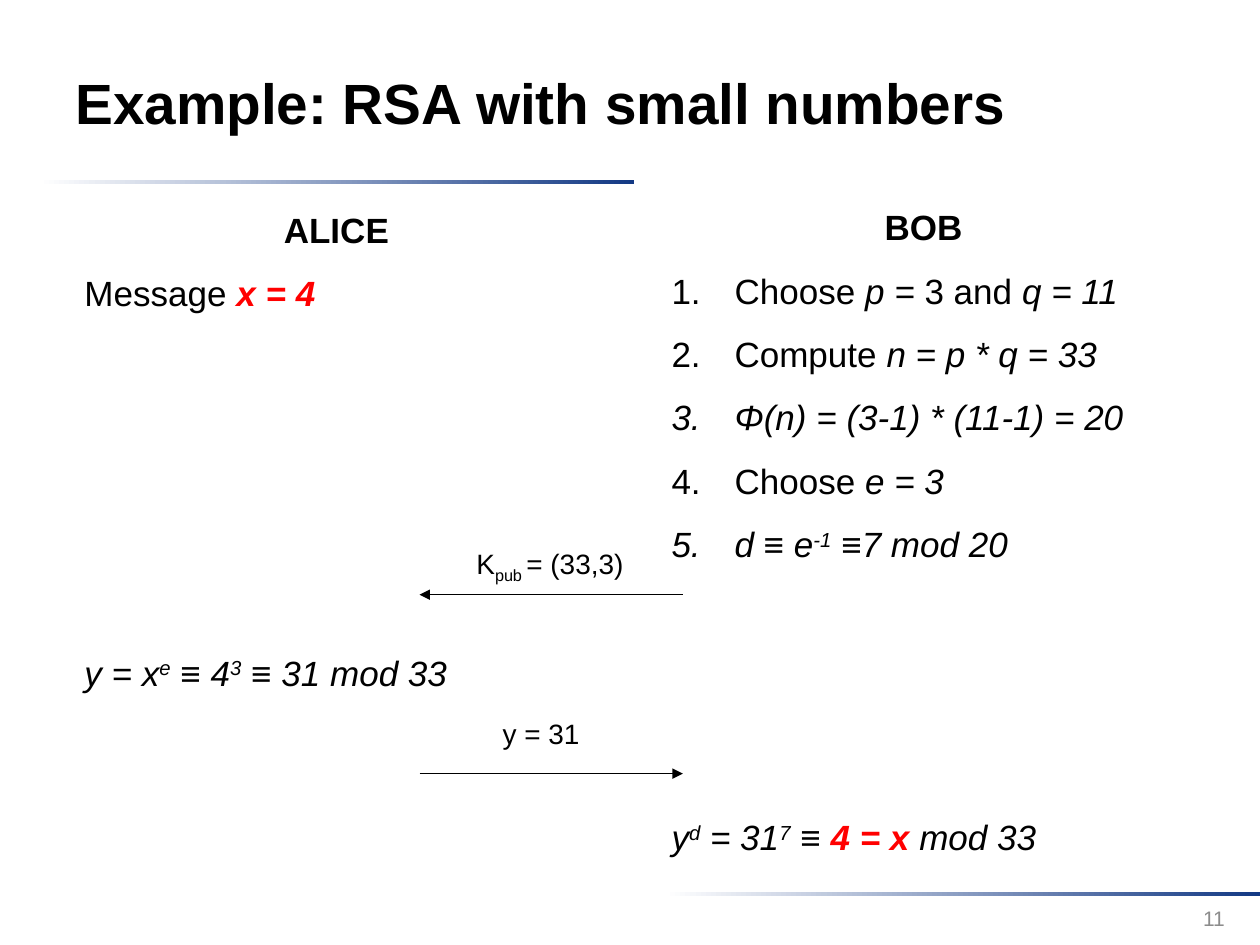
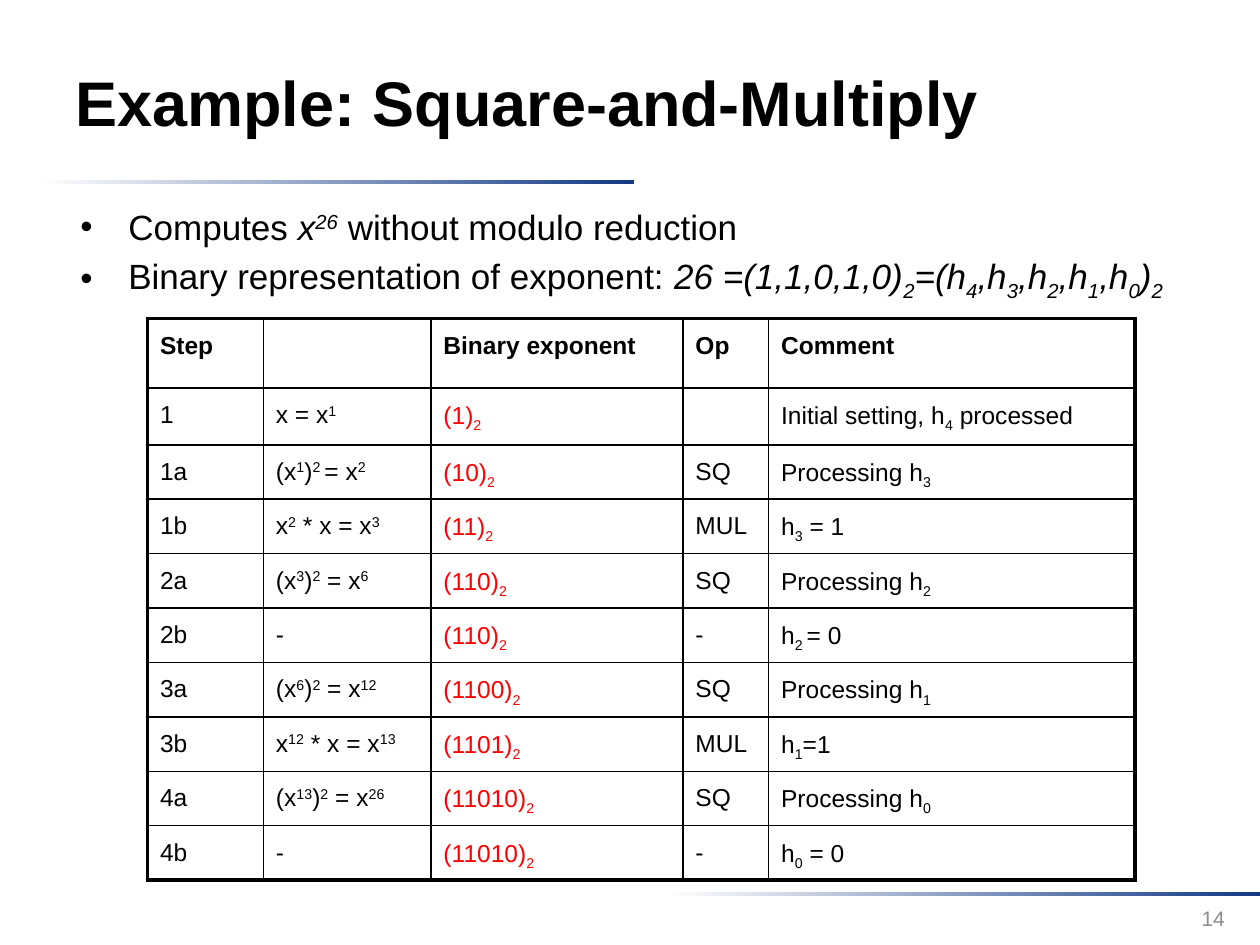
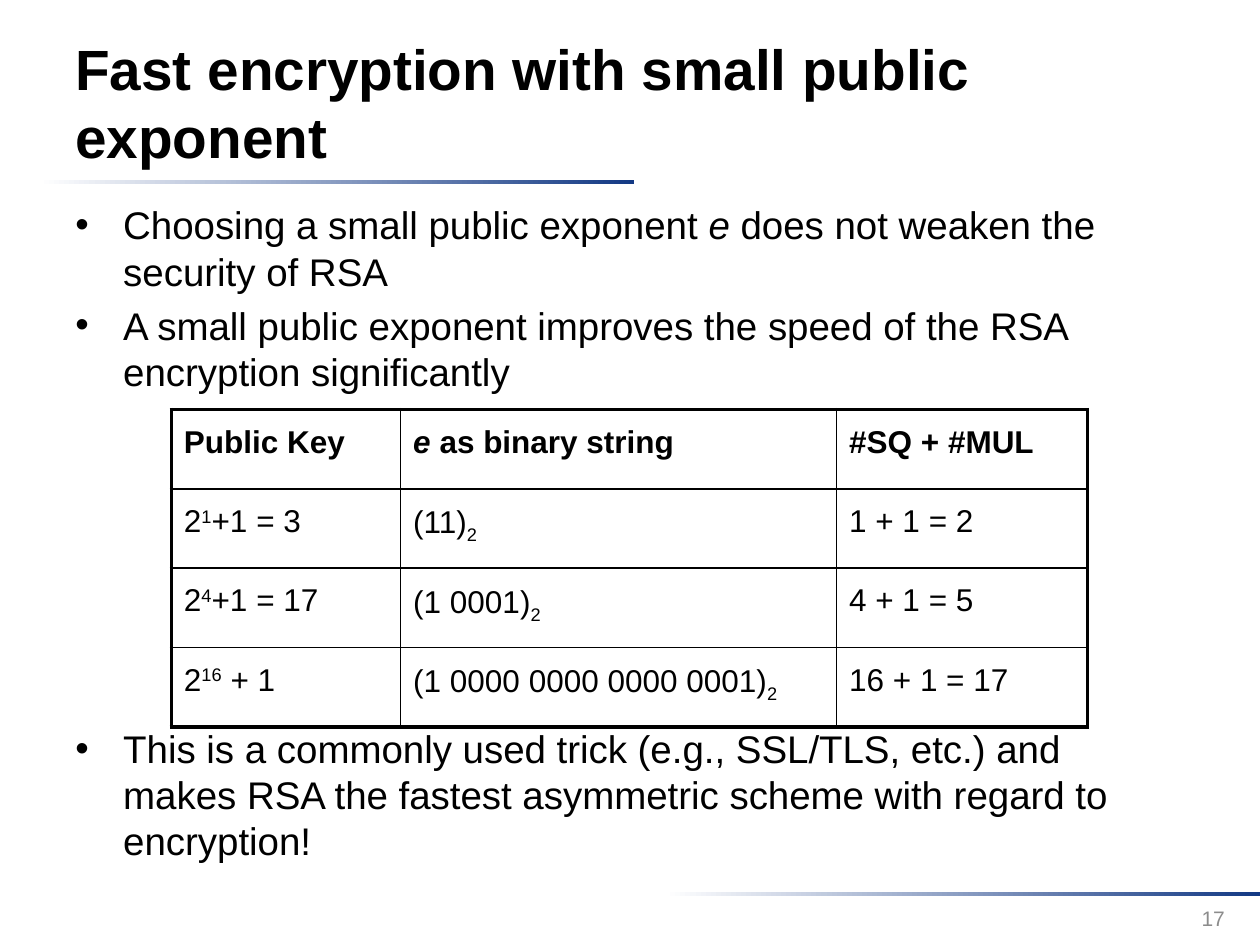
import pptx
import pptx.util
import pptx.dml.color
import pptx.enum.shapes
import pptx.enum.text
import pptx.oxml.ns
from lxml import etree

Inches, Pt = pptx.util.Inches, pptx.util.Pt
ALIGN = pptx.enum.text.PP_ALIGN
ANCHOR = pptx.enum.text.MSO_ANCHOR
qn = pptx.oxml.ns.qn

FONT = "Arial"
COLORS = {"text": "000000", "accent": "FF0000", "band": "133984",
          "paper": "FFFFFF", "number": "8C8C8C"}
FRAME_WIDTH, GRID_WIDTH = 2.25, 1


def rgb(name):
    return pptx.dml.color.RGBColor.from_string(COLORS[name])


# ---- Text ----
def add_runs(p, markup, size, bold=False, color="text"):
    """Runs are parted by |; leading marks: / italic, ! red bold, ^ raised, _ lowered."""
    for piece in markup.split("|"):
        text = piece.lstrip("/!^_")
        marks = piece[:len(piece) - len(text)]
        r = p.add_run()
        r.text = text
        r.font.name, r.font.size = FONT, Pt(size)
        r.font.bold = bold or "!" in marks
        r.font.italic = "/" in marks
        r.font.color.rgb = rgb("accent" if "!" in marks else color)
        if "^" in marks:
            r.font._element.set("baseline", "30000")
        elif "_" in marks:
            r.font._element.set("baseline", "-25000")


def set_indent(p, hanging, bullet=None):
    """Hanging indent; bullet is None, a character or 'number'."""
    pPr = p._p.get_or_add_pPr()
    pPr.set("marL", str(Inches(hanging)))
    pPr.set("indent", str(-Inches(hanging)))
    if bullet == "number":
        etree.SubElement(pPr, qn("a:buAutoNum"), type="arabicPeriod")
    elif bullet:
        etree.SubElement(pPr, qn("a:buFont"), typeface=FONT)
        etree.SubElement(pPr, qn("a:buChar"), char=bullet)
    else:
        etree.SubElement(pPr, qn("a:buNone"))


def add_frame(s, x, y, w, h, inset=True, anchor=ANCHOR.TOP):
    tf = s.shapes.add_textbox(Inches(x), Inches(y), Inches(w), Inches(h)).text_frame
    tf.word_wrap = True
    tf.vertical_anchor = anchor
    if not inset:
        tf.margin_left = tf.margin_right = tf.margin_top = tf.margin_bottom = 0
    return tf


def add_line_of_text(s, box, text, size, align, anchor=ANCHOR.TOP, **style):
    tf = add_frame(s, *box, anchor=anchor)
    p = tf.paragraphs[0]
    p.alignment = align
    add_runs(p, text, size, **style)


def next_paragraph(tf, first):
    return tf.paragraphs[0] if first else tf.add_paragraph()


def add_bullets(s, box, size, items):
    """Items are (text, space before in points)."""
    tf = add_frame(s, *box)
    for i, (text, before) in enumerate(items):
        p = next_paragraph(tf, i == 0)
        p.space_before = Pt(before)
        set_indent(p, 0.38, "\u2022")
        add_runs(p, text, size)


def add_party(s, x, y, name, items):
    """Column of one party; items are (text, bullet, space before in points)."""
    tf = add_frame(s, x, y, 4, 5.51, inset=False)
    for i, (text, bullet, before) in enumerate([(name, None, 6.2)] + items):
        p = next_paragraph(tf, i == 0)
        p.line_spacing, p.space_before = 1.25, Pt(before)
        p.alignment = ALIGN.CENTER if i == 0 else ALIGN.LEFT
        set_indent(p, 0.5, bullet)
        add_runs(p, text, 20, bold=i == 0)


# ---- Lines and bands ----
def add_arrow(s, x1, x2, y):
    line = s.shapes.add_connector(pptx.enum.shapes.MSO_CONNECTOR.STRAIGHT,
                                  Inches(x1), Inches(y), Inches(x2), Inches(y))
    line.line.color.rgb = rgb("text")
    line.line.width = Pt(0.75)
    etree.SubElement(line.line._get_or_add_ln(), qn("a:tailEnd"), type="triangle")
    etree.SubElement(line._element.spPr, qn("a:effectLst"))


def add_band(s, x, y):
    band = s.shapes.add_shape(pptx.enum.shapes.MSO_SHAPE.RECTANGLE,
                              Inches(x), Inches(y), Inches(4.72), Inches(0.03))
    band.shadow.inherit = False
    band.line.fill.background()
    band.fill.gradient()
    band.fill.gradient_angle = 0
    for stop, color, position in zip(band.fill.gradient_stops, ("paper", "band"), (0, 1)):
        stop.color.rgb = rgb(color)
        stop.position = position


def add_slide(prs, title, number, title_size=32.4):
    s = prs.slides.add_slide(prs.slide_layouts[6])
    add_band(s, 0.31, 1.43)
    add_band(s, 5.28, 7.08)
    add_line_of_text(s, (0.5, 0.18, 7.73, 1.25), title, title_size, ALIGN.LEFT,
                     ANCHOR.MIDDLE, bold=True)
    add_line_of_text(s, (7.49, 7.09, 2.33, 0.4), str(number), 12, ALIGN.RIGHT,
                     ANCHOR.MIDDLE, color="number")
    return s


# ---- Tables ----
def set_borders(cell, outer):
    """Draw the four sides; those in outer get the thick frame line."""
    tcPr = cell._tc.get_or_add_tcPr()
    for side in "LRTB":
        width = FRAME_WIDTH if side in outer else GRID_WIDTH
        ln = etree.SubElement(tcPr, qn("a:ln" + side), w=str(Pt(width)))
        fill = etree.SubElement(ln, qn("a:solidFill"))
        etree.SubElement(fill, qn("a:srgbClr"), val=COLORS["text"])


def add_grid(s, x, y, widths, heights, rows, size, red_column=None):
    table = s.shapes.add_table(len(rows), len(widths), Inches(x), Inches(y),
                               Inches(sum(widths)), Inches(sum(heights))).table
    table.first_row = table.horz_banding = False
    for column, width in zip(table.columns, widths):
        column.width = Inches(width)
    for row, height in zip(table.rows, heights):
        row.height = Inches(height)
    for i, texts in enumerate(rows):
        for j, text in enumerate(texts):
            cell = table.cell(i, j)
            edges = {"L": j == 0, "R": j == len(widths) - 1,
                     "T": i == 0, "B": i == len(rows) - 1}
            set_borders(cell, [side for side in edges if edges[side]])
            cell.fill.background()
            if text:
                p = cell.text_frame.paragraphs[0]
                p.line_spacing, p.space_before = 1.25, Pt(size / 4)
                red = i > 0 and j == red_column
                add_runs(p, text, size, bold=i == 0, color="accent" if red else "text")


# ---- Slides ----
def build_small_numbers(prs):
    s = add_slide(prs, "Example: RSA with small numbers", 11)
    add_party(s, 0.67, 1.57, "ALICE", [
        ("Message |/!x = 4", None, 6.2),
        ("/y = x|/^e|/ \u2261 4|/^3|/ \u2261 31 mod 33", None, 187),
    ])
    steps = ["Choose |/p =| 3 and |/q = 11",
             "Compute |/n = p * q = 33",
             "/\u03a6(n) = (3-1) * (11-1) = 20",
             "Choose |/e = 3",
             "/d \u2261 e|/^-1|/ \u22617 mod 20"]
    add_party(s, 5.33, 1.55, "BOB", [(step, "number", 6.2) for step in steps] + [
        ("/y|/^d|/ = 31|/^7|/ \u2261 |/!4 = x |/mod 33", None, 137.5),
    ])
    # Messages between the parties
    add_arrow(s, 5.42, 3.33, 4.72)
    add_line_of_text(s, (3.4, 4.29, 1.93, 0.37), "K|_pub |= (33,3)", 16, ALIGN.CENTER)
    add_arrow(s, 3.33, 5.42, 6.14)
    add_line_of_text(s, (3.33, 5.64, 1.93, 0.37), "y = 31", 16, ALIGN.CENTER)


def build_square_and_multiply(prs):
    s = add_slide(prs, "Example: Square-and-Multiply", 14, title_size=36)
    bits = "|/,".join(f"h|/_{n}" for n in (4, 3, 2, 1, 0))
    add_bullets(s, (0.54, 1.58, 8.89, 5.51), 20, [
        ("Computes |/x|/^26| without modulo reduction", 4),
        ("Binary representation of exponent: |/26 =(1,1,0,1,0)|/_2|/=(" + bits + "|/)|/_2", 4),
    ])
    rows = [
        ("Step", "", "Binary exponent", "Op", "Comment"),
        ("1", "x = x|^1", "(1)|_2", "", "Initial setting, h|_4| processed"),
        ("1a", "(x|^1|)|^2 |= x|^2", "(10)|_2", "SQ", "Processing h|_3"),
        ("1b", "x|^2| * x = x|^3", "(11)|_2", "MUL", "h|_3| = 1"),
        ("2a", "(x|^3|)|^2| = x|^6", "(110)|_2", "SQ", "Processing h|_2"),
        ("2b", "-", "(110)|_2", "-", "h|_2 |= 0"),
        ("3a", "(x|^6|)|^2| = x|^12", "(1100)|_2", "SQ", "Processing h|_1"),
        ("3b", "x|^12| * x = x|^13", "(1101)|_2", "MUL", "h|_1|=1"),
        ("4a", "(x|^13|)|^2| = x|^26", "(11010)|_2", "SQ", "Processing h|_0"),
        ("4b", "-", "(11010)|_2", "-", "h|_0| = 0"),
    ]
    heights = [0.55, 0.45] + [3.33 / 8] * 8
    add_grid(s, 1.17, 2.53, [0.92, 1.33, 2, 0.68, 2.91], heights, rows, 14, red_column=2)


def build_small_exponent(prs):
    s = add_slide(prs, "Fast encryption with small public exponent", 17)
    add_bullets(s, (0.5, 1.55, 9, 5.54), 22, [
        ("Choosing a small public exponent |/e| does not weaken the security of RSA", 4.4),
        ("A small public exponent improves the speed of the RSA encryption significantly", 4.4),
        ("This is a commonly used trick (e.g., SSL/TLS, etc.) and makes RSA the fastest "
         "asymmetric scheme with regard to encryption!", 189),
    ])
    rows = [
        ("Public Key", "/e |as binary string", "#SQ + #MUL"),
        ("2|^1|+1 = 3", "(11)|_2", "1 + 1 = 2"),
        ("2|^4|+1 = 17", "(1 0001)|_2", "4 + 1 = 5"),
        ("2|^16| + 1", "(1 0000 0000 0000 0001)|_2", "16 + 1 = 17"),
    ]
    add_grid(s, 1.36, 3.25, [1.82, 3.46, 1.99], [0.63] * 4, rows, 18)


def main():
    prs = pptx.Presentation()
    prs.slide_width, prs.slide_height = Inches(10), Inches(7.5)
    build_small_numbers(prs)
    build_square_and_multiply(prs)
    build_small_exponent(prs)
    prs.save("out.pptx")


main()
